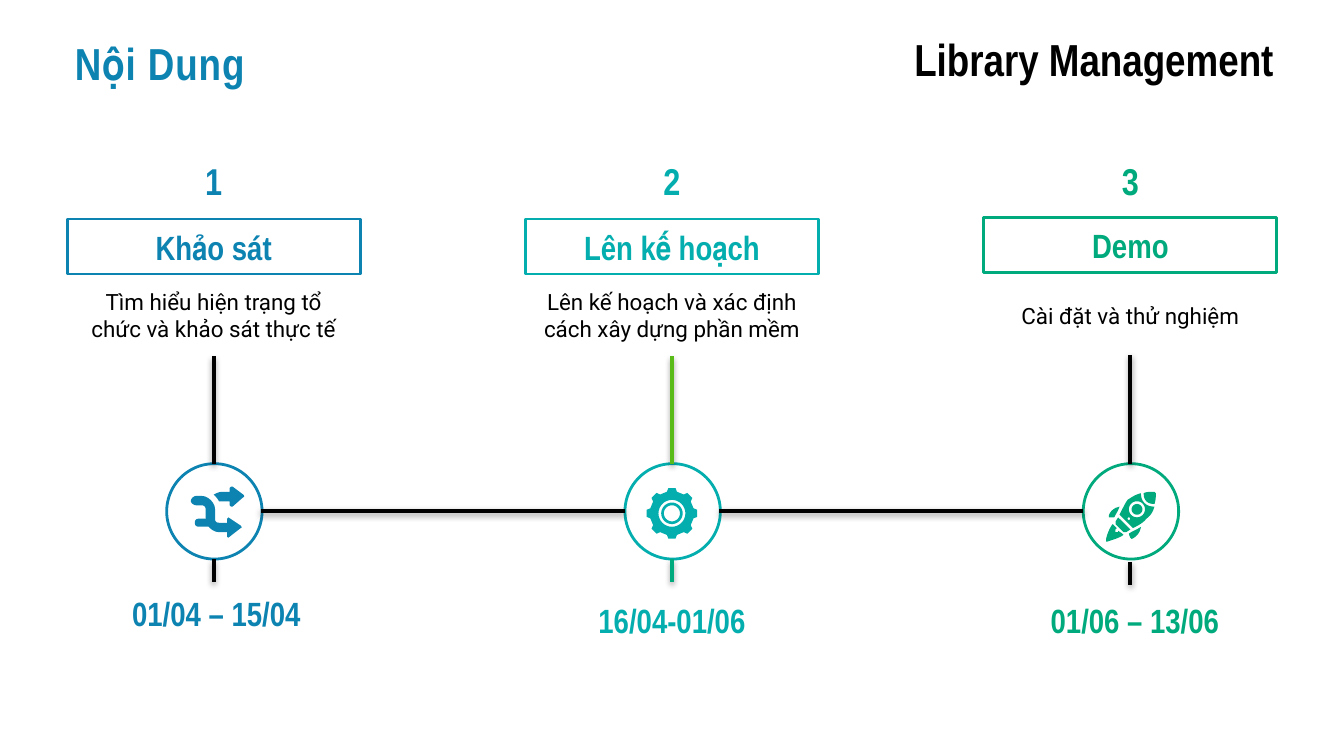
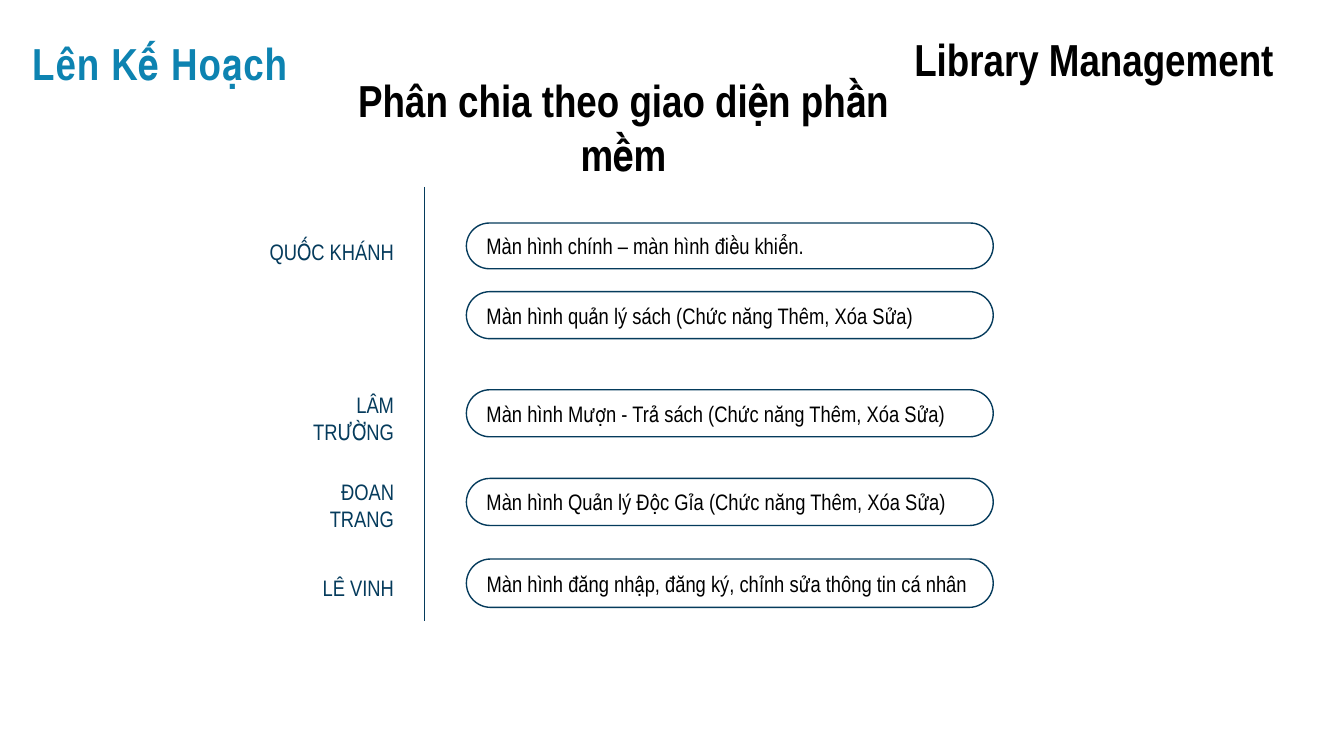
"""Build the two library project slides: the timeline and the screen plan."""
import math
from dataclasses import dataclass
from typing import Any, NamedTuple

import lxml.etree
import pptx
import pptx.dml.color
import pptx.enum.shapes
import pptx.enum.text
import pptx.oxml.ns
import pptx.util

PX = 9144
SHAPE = pptx.enum.shapes.MSO_SHAPE
ALIGN = pptx.enum.text.PP_ALIGN
MIDDLE = pptx.enum.text.MSO_ANCHOR.MIDDLE
qn = pptx.oxml.ns.qn


@dataclass(frozen=True)
class Theme:
    """Colours, fonts and type sizes."""
    blue: str = "0D83B1"
    teal: str = "04AEAE"
    green: str = "00AA7D"
    lime: str = "59BB18"
    navy: str = "053B5C"
    black: str = "000000"
    head: str = "Arial Narrow"
    body: str = "Roboto"
    title: int = 24
    count: int = 20
    label: int = 18
    small: int = 12
    thick: float = 2
    edge: float = 1.5
    thin: float = 0.75


T = Theme()


class Box(NamedTuple):
    """Left, top, width and height in px."""
    left: int
    top: int
    wide: int
    high: int


class Style(NamedTuple):
    """Look of a text."""
    size: int
    tint: str = T.black
    bold: bool = False
    face: str = T.head
    align: Any = ALIGN.CENTER
    track: int = 0
    side: int = 10


class Step(NamedTuple):
    """One stage of the timeline."""
    head: str
    body: str
    date: str
    spot: Box
    tint: str
    stem: str
    foot: str
    top: int
    drop: int
    icon: list


class Task(NamedTuple):
    """One screen, with its owner where one is named."""
    text: str
    top: int
    high: int
    name: str = ""
    row: int = 0
    left: int = 202


def ring(x: int, y: int, size: int) -> list:
    """Return a circle as points."""
    turns = [math.tau * k / 32 for k in range(32)]
    return [(x + size * math.cos(a), y + size * math.sin(a)) for a in turns]


def cog(y: int, teeth: int) -> list:
    """Return the rim of a gear as points."""
    tooth = ((-13, 16.5), (-8, 19), (8, 19), (13, 16.5))
    polar = [(math.radians(360 / teeth * k + turn), size)
             for k in range(teeth) for turn, size in tooth]
    return [(size * math.sin(a), y - size * math.cos(a)) for a, size in polar]


SHUFFLE = [
    [[(-13, -11), (-15, -11, -17, -9, -17, -7), (-17, -6, -15, -4, -13, -4),
      (-9, -4), (-7, -4, -6, -3, -6, -1), (-6, 6), (-6, 11, -1, 16, 4, 16),
      (10, 16), (10, 19), (10, 19, 10, 20, 11, 20), (20, 13),
      (21, 13, 21, 12, 20, 11), (11, 5), (10, 6), (10, 9), (4, 9),
      (2, 9, 1, 8, 1, 6), (1, -1), (1, -6, -4, -11, -9, -11)]],
    [[(-6, 6), (-11, 6), (-13, 6, -14, 7, -14, 9), (-14, 11, -13, 12, -11, 12),
      (-3, 12), (-5, 10, -5, 8, -6, 6)]],
    [[(13, -18), (12, -17), (12, -14), (6, -14), (4, -14, 2, -13, 0, -12),
      (2, -10, 3, -9, 4, -7), (12, -7), (12, -4), (13, -3), (14, -3),
      (22, -10), (23, -10, 23, -11, 22, -12), (14, -18)]],
]
GEAR = [[cog(2, 8), ring(0, 2, 10)], [ring(0, 2, 8), ring(0, 2, 6)]]
ROCKET = [
    [[(-9, 5), (-11, 8), (-11, 10), (-5, 16), (-3, 16), (0, 14)]],
    [[(16, -14), (14, -14, 12, -14, 10, -13), (10, -12), (10, -8, 13, -5, 17, -5),
      (18, -5), (19, -8, 19, -10, 19, -13), (18, -14)]],
    [ring(5, -1, 4)],
    [[(8, -13), (4, -12, 1, -10, -2, -8), (-4, -5, -6, -1, -8, 3), (2, 13),
      (6, 11, 10, 9, 12, 6), (15, 4, 17, 1, 18, -3), (17, -3),
      (12, -3, 8, -7, 8, -12)], ring(5, -1, 6), ring(-1, 6, 1)],
    [[(8, 12), (5, 14, 2, 15, -1, 17), (-1, 18, 0, 20, 0, 20), (1, 21),
      (1, 21, 7, 19, 8, 12)]],
    [[(-8, -3), (-14, -2, -16, 3, -16, 4), (-16, 5), (-12, 5),
      (-11, 3, -9, 0, -8, -3)]],
    [[(-13, 10), (-15, 12, -18, 19, -18, 22), (-18, 23), (-17, 23),
      (-14, 22, -7, 20, -5, 18), (-6, 17), (-9, 15), (-9, 16), (-11, 16),
      (-11, 14), (-10, 13), (-12, 11)]],
]

STEPS = [
    Step("Khảo sát", "Tìm hiểu hiện trạng tổ chức và khảo sát thực tế",
         "01/04 – 15/04", Box(75, 431, 172, 51),
         T.blue, T.black, T.black, 163, 416, SHUFFLE),
    Step("Lên kế hoạch", "Lên kế hoạch và xác định cách xây dựng phần mềm",
         "16/04-01/06", Box(411, 442, 178, 39),
         T.teal, T.lime, T.green, 163, 416, GEAR),
    Step("Demo", "Cài đặt và thử nghiệm",
         "01/06 – 13/06", Box(761, 440, 167, 42),
         T.green, T.black, T.black, 162, 418, ROCKET),
]
TASKS = [
    Task("Màn hình chính – màn hình điều khiển.", 166, 34, "QUỐC KHÁNH", 166, 159),
    Task("Màn hình quản lý sách (Chức năng Thêm, Xóa Sửa)", 217, 35),
    Task("Màn hình Mượn - Trả sách (Chức năng Thêm, Xóa Sửa)", 290, 35,
         "LÂM TRƯỜNG", 290),
    Task("Màn hình Quản lý Độc Gỉa (Chức năng Thêm, Xóa Sửa)", 356, 35,
         "ĐOAN TRANG", 355),
    Task("Màn hình đăng nhập, đăng ký, chỉnh sửa thông tin cá nhân", 416, 36,
         "LÊ VINH", 416),
]


def put(item: Any, values: dict) -> None:
    """Set each named value on an object."""
    for key, value in values.items():
        setattr(item, key, value)


def paint(color: Any, tint: str) -> None:
    """Set a colour from its hex value."""
    color.rgb = pptx.dml.color.RGBColor.from_string(tint)


def scale(box: Box) -> list[int]:
    """Turn px into EMU."""
    return [side * PX for side in box]


def write(shape: Any, text: str, style: Style) -> None:
    """Put one styled paragraph in a shape."""
    frame = shape.text_frame
    put(frame, {"word_wrap": True, "vertical_anchor": MIDDLE,
                "margin_left": style.side * PX, "margin_right": style.side * PX,
                "margin_top": 10 * PX, "margin_bottom": 10 * PX})
    line = frame.paragraphs[0]
    line.alignment = style.align
    run = line.add_run()
    run.text = text
    put(run.font, {"name": style.face, "size": pptx.util.Pt(style.size),
                   "bold": style.bold})
    paint(run.font.color, style.tint)
    if style.track:
        run.font._element.set("spc", str(style.track))


def add_text(slide: Any, box: Box, text: str, style: Style) -> None:
    """Add a text box."""
    write(slide.shapes.add_textbox(*scale(box)), text, style)


def add_frame(slide: Any, kind: Any, box: Box, tint: str, width: float) -> Any:
    """Add an outlined shape without fill."""
    shape = slide.shapes.add_shape(kind, *scale(box))
    shape.shadow.inherit = False
    shape.fill.background()
    paint(shape.line.color, tint)
    shape.line.width = pptx.util.Pt(width)
    return shape


def add_line(slide: Any, ends: Box, tint: str, width: float, cast: bool) -> None:
    """Add a line between two points, with or without a soft shadow."""
    kind = pptx.enum.shapes.MSO_CONNECTOR.STRAIGHT
    line = slide.shapes.add_connector(kind, *scale(ends))
    paint(line.line.color, tint)
    line.line.width = pptx.util.Pt(width)
    node = lxml.etree.SubElement(line._element.spPr, qn("a:effectLst"))
    if cast:
        shade = lxml.etree.SubElement(node, qn("a:outerShdw"), blurRad="40000",
                                      dist="20000", dir="5400000", rotWithShape="0")
        black = lxml.etree.SubElement(shade, qn("a:srgbClr"), val=T.black)
        lxml.etree.SubElement(black, qn("a:alpha"), val="38000")


def trace(parts: list, x: int, y: int) -> list:
    """Flatten lines and curves into EMU points around a centre."""
    points = [parts[0]]
    for part in parts[1:]:
        if len(part) == 2:
            points.append(part)
            continue
        knots = [points[-1], part[:2], part[2:4], part[4:]]
        for t in (k / 6 for k in range(1, 7)):
            share = ((1 - t) ** 3, 3 * t * (1 - t) ** 2, 3 * t * t * (1 - t), t ** 3)
            points.append(tuple(sum(s * k[axis] for s, k in zip(share, knots))
                                for axis in (0, 1)))
    return [(round((x + a) * PX), round((y + b) * PX)) for a, b in points]


def add_icon(slide: Any, icon: list, x: int, y: int, tint: str) -> None:
    """Draw the filled outlines of an icon around a centre."""
    for piece in icon:
        first, *holes = [trace(parts, x, y) for parts in piece]
        pen = slide.shapes.build_freeform(*first[0], scale=1.0)
        pen.add_line_segments(first[1:], close=True)
        for hole in holes:
            pen.move_to(*hole[0])
            pen.add_line_segments(hole[1:], close=True)
        shape = pen.convert_to_shape()
        shape.shadow.inherit = False
        shape.fill.solid()
        paint(shape.fill.fore_color, tint)
        shape.line.fill.background()


def start(deck: Any, title: str) -> Any:
    """Add a blank slide with its title and the project name."""
    slide = deck.slides.add_slide(deck.slide_layouts[6])
    add_text(slide, Box(-54, 26, 346, 41), title,
             Style(T.title, T.blue, True, track=50))
    add_text(slide, Box(641, 20, 346, 47), "Library Management",
             Style(T.title, bold=True))
    return slide


def draw_steps(deck: Any) -> None:
    """Draw the timeline slide."""
    slide = start(deck, "Nội Dung")
    pitch, side, axis = 341, 71, 380
    for k, step in enumerate(STEPS):
        left = 50 + k * pitch
        mid = left + 109
        label = Style(T.label, step.tint, True)
        frame = add_frame(slide, SHAPE.RECTANGLE, Box(left, step.top, 218, 41),
                          step.tint, T.edge)
        write(frame, step.head, label)
        add_text(slide, Box(left, 204, 218, 61), step.body,
                 Style(T.small, face=T.body))
        add_text(slide, step.spot, step.date, label)
        add_text(slide, Box(mid - 69, 120, 138, 28), str(k + 1),
                 Style(T.count, step.tint, True))
        add_frame(slide, SHAPE.OVAL, Box(mid - 35, 345, side, side),
                  step.tint, T.edge)
        add_line(slide, Box(mid, step.top + 102, mid, 345), step.stem, T.thick, True)
        add_line(slide, Box(mid, step.drop, mid, step.drop + 17),
                 step.foot, T.thick, True)
        if k:
            add_line(slide, Box(mid - pitch + 35, axis, mid - 35, axis),
                     T.black, T.thick, True)
        add_icon(slide, step.icon, mid, axis, step.tint)


def draw_tasks(deck: Any) -> None:
    """Draw the plan of screens and owners."""
    slide = start(deck, "Lên Kế Hoạch")
    for task in TASKS:
        if task.name:
            add_text(slide, Box(task.left, task.row, 303 - task.left, 42), task.name,
                     Style(T.small, T.navy, align=ALIGN.RIGHT))
        pill = add_frame(slide, SHAPE.ROUNDED_RECTANGLE,
                         Box(347, task.top, 392, task.high), T.navy, T.thin)
        pill.adjustments[0] = 0.5
        write(pill, task.text, Style(T.small, align=ALIGN.LEFT))
    add_line(slide, Box(316, 139, 316, 462), T.navy, T.thin, False)
    add_text(slide, Box(216, 71, 496, 47), "Phân chia theo giao diện phần mềm",
             Style(T.title, bold=True, side=20))


def main() -> None:
    """Build and save the deck."""
    deck = pptx.Presentation()
    wide = 1000 * PX
    put(deck, {"slide_width": wide, "slide_height": wide * 9 // 16})
    draw_steps(deck)
    draw_tasks(deck)
    deck.save("out.pptx")


if __name__ == "__main__":
    main()
